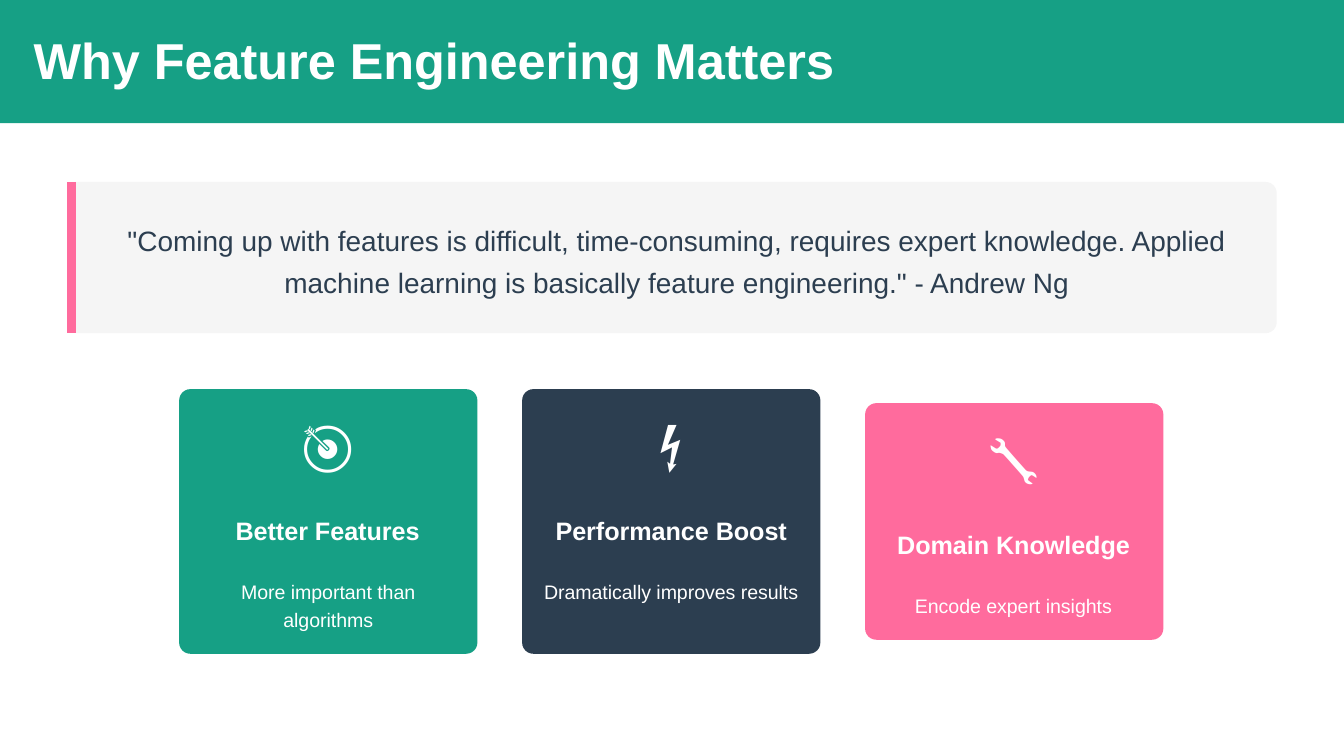
from dataclasses import dataclass

from lxml.etree import SubElement
from pptx import Presentation
from pptx.dml.color import RGBColor
from pptx.enum.shapes import MSO_CONNECTOR, MSO_SHAPE
from pptx.enum.text import PP_ALIGN
from pptx.oxml.ns import qn
from pptx.util import Emu, Pt

EMU_PER_PX = 9525
FONT = "Arial"
TEAL, NAVY, PINK = "16A085", "2C3E50", "FF6B9D"
WHITE, PALE = "FFFFFF", "F5F5F5"
RADIUS = 8
CARD_LEFT, CARD_WIDTH, CARD_PITCH = 128, 213, 245
CARD_MIDDLE = 372


@dataclass(frozen=True)
class Box:
    left: int
    top: int
    width: int
    height: int

    def emu(self) -> list[Emu]:
        return [px(n) for n in (self.left, self.top, self.width, self.height)]


@dataclass(frozen=True)
class TextStyle:
    size: float
    line: float
    color: str = WHITE
    bold: bool = False
    align: PP_ALIGN = PP_ALIGN.CENTER
    before: float = 0
    after: float = 0


@dataclass(frozen=True)
class Card:
    icon: str
    heading: str
    heading_width: int
    body: str
    body_width: int
    body_height: int
    color: str


TITLE = TextStyle(27, 30, bold=True, align=PP_ALIGN.LEFT)
QUOTE = TextStyle(15, 22.5, NAVY)
ICON = TextStyle(27, 30, before=3, after=6)
HEADING = TextStyle(13.5, 21, bold=True, after=3.6)
BODY = TextStyle(10.5, 15)

CARDS = [
    Card("🎯", "Better Features", 134, "More important than algorithms", 185, 40, TEAL),
    Card("⚡", "Performance Boost", 169, "Dramatically improves results", 185, 40, NAVY),
    Card("🔧", "Domain Knowledge", 170, "Encode expert insights", 144, 20, PINK),
]


def px(length: int) -> Emu:
    return Emu(length * EMU_PER_PX)


def rgb(color: str) -> RGBColor:
    return RGBColor.from_string(color)


def add_panel(page, box: Box, color: str, radius: int = 0) -> None:
    kind = MSO_SHAPE.ROUNDED_RECTANGLE if radius else MSO_SHAPE.RECTANGLE
    panel = page.shapes.add_shape(kind, *box.emu())
    if radius:
        panel.adjustments[0] = radius / min(box.width, box.height)
    panel.shadow.inherit = False
    panel.fill.solid()
    panel.fill.fore_color.rgb = rgb(color)
    panel.line.fill.background()


def add_text(page, box: Box, text: str, style: TextStyle) -> None:
    frame = page.shapes.add_textbox(*box.emu()).text_frame
    frame.word_wrap = True
    frame.margin_left = frame.margin_top = frame.margin_right = frame.margin_bottom = 0
    para = frame.paragraphs[0]
    para.text = text
    para.alignment = style.align
    para.line_spacing = Pt(style.line)
    para.space_before, para.space_after = Pt(style.before), Pt(style.after)
    para.font.name = FONT
    para.font.size = Pt(style.size)
    para.font.bold = style.bold
    para.font.color.rgb = rgb(style.color)


def add_accent(page, x: int, top: int, bottom: int) -> None:
    accent = page.shapes.add_connector(
        MSO_CONNECTOR.STRAIGHT, px(x), px(top), px(x), px(bottom))
    accent.line.color.rgb = rgb(PINK)
    accent.line.width = Pt(4.5)
    SubElement(accent._element.spPr, qn("a:effectLst"))


def add_card(page, left: int, card: Card) -> None:
    height = 149 + card.body_height
    top = CARD_MIDDLE - height // 2

    def centred(offset: int, width: int, text_height: int) -> Box:
        return Box(left + (CARD_WIDTH - width) // 2, top + offset, width, text_height)

    add_panel(page, Box(left, top, CARD_WIDTH, height), card.color, RADIUS)
    add_text(page, centred(20, 46, 40), card.icon, ICON)
    add_text(page, centred(84, card.heading_width, 28), card.heading, HEADING)
    add_text(page, centred(133, card.body_width, card.body_height), card.body, BODY)


def main() -> None:
    deck = Presentation()
    deck.slide_width, deck.slide_height = px(960), px(540)
    page = deck.slides.add_slide(deck.slide_layouts[6])

    # Header band
    add_panel(page, Box(0, 0, 960, 88), TEAL)
    add_text(page, Box(24, 24, 585, 40), "Why Feature Engineering Matters", TITLE)

    # Quote with accent bar
    add_panel(page, Box(48, 130, 864, 108), PALE, RADIUS)
    add_accent(page, 51, 130, 238)
    add_text(
        page, Box(70, 154, 827, 60),
        '"Coming up with features is difficult, time-consuming, requires expert knowledge. '
        'Applied machine learning is basically feature engineering." - Andrew Ng', QUOTE)

    # Benefit cards, centred on one horizontal axis
    for index, card in enumerate(CARDS):
        add_card(page, CARD_LEFT + index * CARD_PITCH, card)

    deck.save("out.pptx")


if __name__ == "__main__":
    main()
